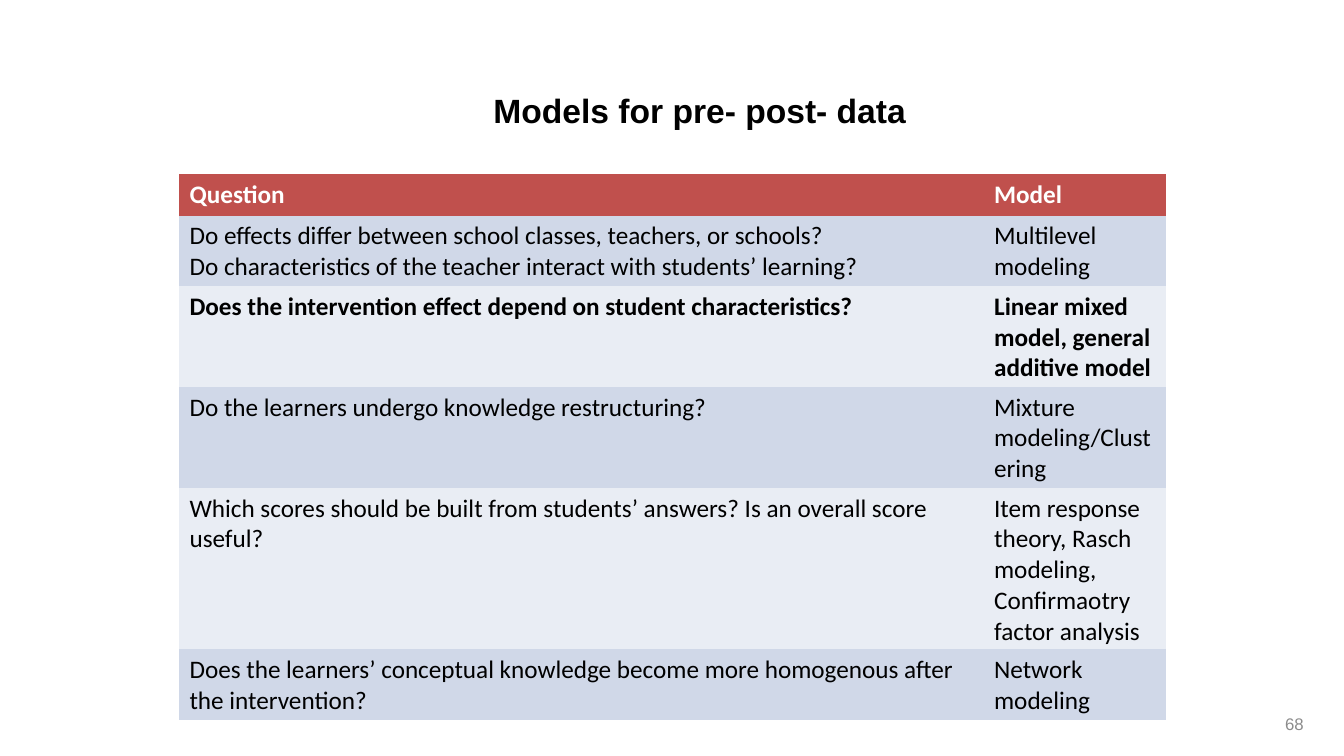
from pptx import Presentation
from pptx.dml.color import RGBColor
from pptx.enum.text import MSO_ANCHOR, PP_ALIGN
from pptx.util import Inches, Pt

COLORS = {
    "header": "C0504D",
    "band_dark": "D0D8E8",
    "band_light": "E9EDF4",
    "white": "FFFFFF",
    "black": "000000",
    "gray": "8C8C8C",
}
NO_STYLE_NO_GRID = "{2D5ABB26-0587-4C30-8999-92F81FD0307C}"


def write(frame, text, font="Calibri", size=18, color="black", bold=False,
          align=PP_ALIGN.LEFT, anchor=MSO_ANCHOR.TOP):
    """Fill a text frame, one paragraph for each line of text."""
    frame.word_wrap = True
    frame.vertical_anchor = anchor
    frame.text = text
    for para in frame.paragraphs:
        para.alignment = align
        for span in para.runs:
            span.font.name = font
            span.font.size = Pt(size)
            span.font.bold = bold
            span.font.color.rgb = RGBColor.from_string(COLORS[color])


deck = Presentation()
deck.slide_width = Inches(13.33)
deck.slide_height = Inches(7.5)
page = deck.slides.add_slide(deck.slide_layouts[6])

# Page number
number_box = page.shapes.add_textbox(Inches(9.92), Inches(6.98), Inches(3.11), Inches(0.4))
write(number_box.text_frame, "68", font="Arial", size=12, color="gray",
      align=PP_ALIGN.RIGHT, anchor=MSO_ANCHOR.MIDDLE)

# Title
title_box = page.shapes.add_textbox(Inches(3.67), Inches(0.84), Inches(6.54), Inches(0.5))
write(title_box.text_frame, "Models for pre- post- data", font="Arial", size=24,
      bold=True, align=PP_ALIGN.CENTER)

# Table of questions and models
rows = [
    ("Question", "Model"),
    ("Do effects differ between school classes, teachers, or schools?\n"
     "Do characteristics of the teacher interact with students’ learning?",
     "Multilevel modeling"),
    ("Does the intervention effect depend on student characteristics?",
     "Linear mixed model, general additive model"),
    ("Do the learners undergo knowledge restructuring?",
     "Mixture modeling/Clustering"),
    ("Which scores should be built from students’ answers? Is an overall score useful?",
     "Item response theory, Rasch modeling, Confirmaotry factor analysis"),
    ("Does the learners’ conceptual knowledge become more homogenous after the intervention?",
     "Network modeling"),
]
BOLD_ROWS = (0, 2)
ROW_HEIGHT = 0.41

table_frame = page.shapes.add_table(len(rows), 2, Inches(1.78), Inches(1.73),
                                    Inches(9.78), Inches(ROW_HEIGHT * len(rows)))
table = table_frame.table
table._tbl.tblPr.find("{*}tableStyleId").text = NO_STYLE_NO_GRID
for column, width in zip(table.columns, (7.98, 1.8)):
    column.width = Inches(width)

for row_index, texts in enumerate(rows):
    table.rows[row_index].height = Inches(ROW_HEIGHT)
    if row_index == 0:
        fill, color = "header", "white"
    else:
        fill, color = ("band_dark" if row_index % 2 else "band_light"), "black"
    for column_index, text in enumerate(texts):
        cell = table.cell(row_index, column_index)
        cell.fill.solid()
        cell.fill.fore_color.rgb = RGBColor.from_string(COLORS[fill])
        write(cell.text_frame, text, color=color, bold=row_index in BOLD_ROWS)

deck.save("out.pptx")
